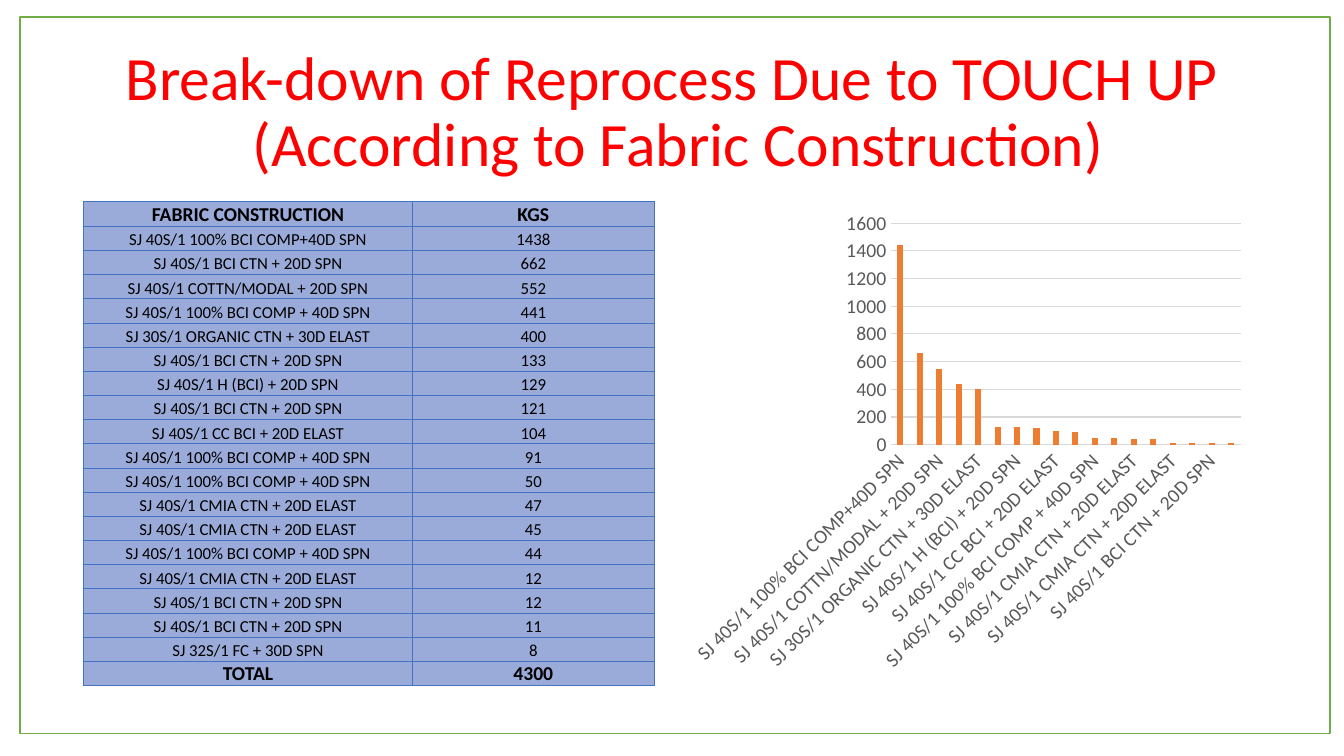
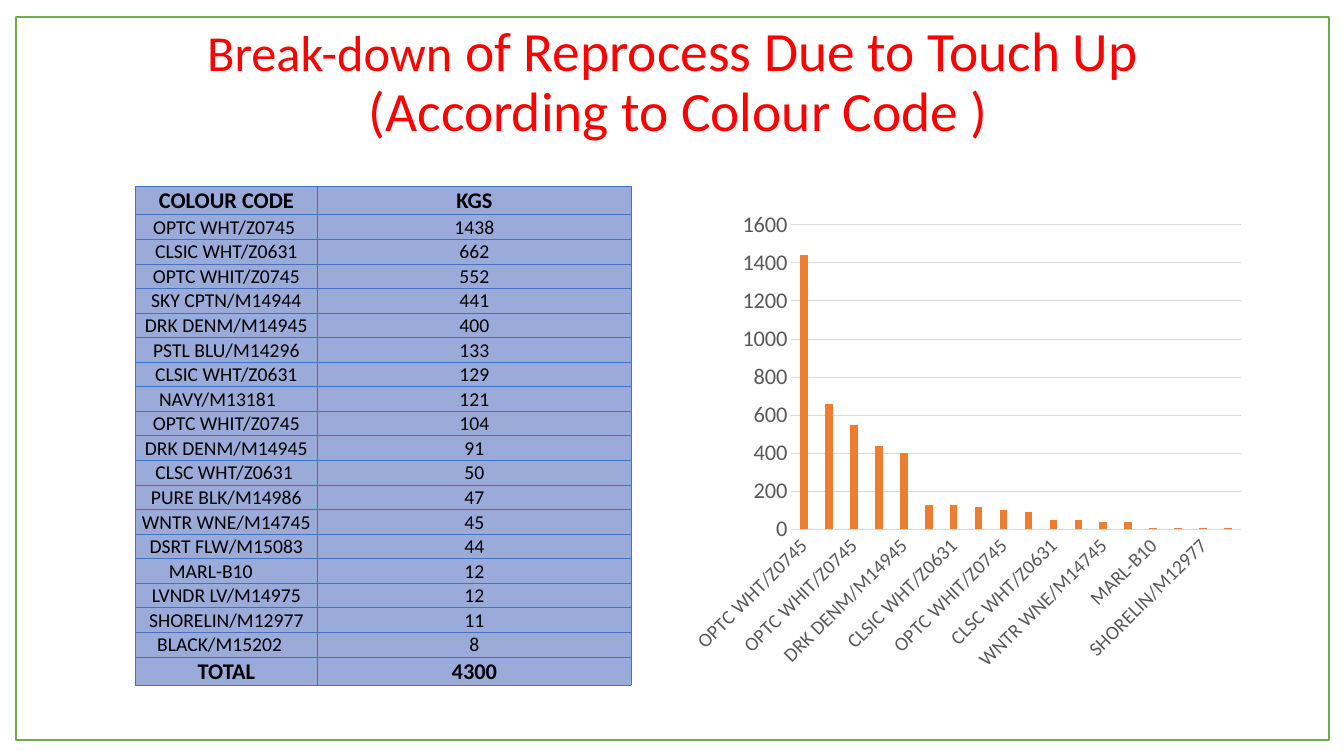
import lxml.etree
import pptx
import pptx.chart.data
import pptx.dml.color
import pptx.enum.chart
import pptx.enum.shapes
import pptx.enum.text
import pptx.oxml.ns
import pptx.util

Inches = pptx.util.Inches
Pt = pptx.util.Pt
FONT = "Calibri"
COLORS = {
    "title": "FF0000", "text": "000000", "cell": "9BABD9", "cell_border": "4472C4",
    "frame": "70AD47", "bar": "ED7D31", "axis_text": "595959", "grid": "D9D9D9",
}
CHART_BOX = (6.75, 2, 5.67, 4.76)
CODE_LENGTH = 15
KGS = (1438, 662, 552, 441, 400, 133, 129, 121, 104, 91, 50, 47, 45, 44, 12, 12, 11, 8)
FABRICS = (
    "SJ 40S/1 100% BCI COMP+40D SPN", "SJ 40S/1 BCI CTN + 20D SPN",
    "SJ 40S/1 COTTN/MODAL + 20D SPN", "SJ 40S/1 100% BCI COMP + 40D SPN",
    "SJ 30S/1 ORGANIC CTN + 30D ELAST", "SJ 40S/1 BCI CTN + 20D SPN",
    "SJ 40S/1 H (BCI) + 20D SPN", "SJ 40S/1 BCI CTN + 20D SPN",
    "SJ 40S/1 CC BCI + 20D ELAST", "SJ 40S/1 100% BCI COMP + 40D SPN",
    "SJ 40S/1 100% BCI COMP + 40D SPN", "SJ 40S/1 CMIA CTN + 20D ELAST",
    "SJ 40S/1 CMIA CTN + 20D ELAST", "SJ 40S/1 100% BCI COMP + 40D SPN",
    "SJ 40S/1 CMIA CTN + 20D ELAST", "SJ 40S/1 BCI CTN + 20D SPN",
    "SJ 40S/1 BCI CTN + 20D SPN", "SJ 32S/1 FC + 30D SPN",
)
COLOUR_CODES = (
    "OPTC WHT/Z0745", "CLSIC WHT/Z0631", "OPTC WHIT/Z0745", "SKY CPTN/M14944",
    "DRK DENM/M14945", "PSTL BLU/M14296", "CLSIC WHT/Z0631", "NAVY/M13181",
    "OPTC WHIT/Z0745", "DRK DENM/M14945", "CLSC WHT/Z0631", "PURE BLK/M14986",
    "WNTR WNE/M14745", "DSRT FLW/M15083", "MARL-B10", "LVNDR LV/M14975",
    "SHORELIN/M12977", "BLACK/M15202",
)


def rgb(name):
    """Return the named palette colour."""
    return pptx.dml.color.RGBColor.from_string(COLORS[name])


def style_font(font, size, color):
    """Set the typeface, size and colour of a font."""
    font.name, font.size = FONT, Pt(size)
    font.color.rgb = rgb(color)


def write_text(paragraph, text, *, size, color="text", bold=False, spacing=None):
    """Add a formatted run to a centred paragraph."""
    paragraph.alignment = pptx.enum.text.PP_ALIGN.CENTER
    if spacing:
        paragraph.line_spacing = spacing
    run = paragraph.add_run()
    run.text = text
    style_font(run.font, size, color)
    run.font.bold = bold


def add_title(slide, box, lines):
    """Place a title whose lines are lists of (text, size) runs."""
    frame = slide.shapes.add_textbox(*map(Inches, box)).text_frame
    frame.word_wrap = True
    frame.vertical_anchor = pptx.enum.text.MSO_ANCHOR.MIDDLE
    for index, runs in enumerate(lines):
        paragraph = frame.add_paragraph() if index else frame.paragraphs[0]
        if index:
            paragraph._p.get_or_add_pPr().set("marL", str(Inches(0.12)))
        for text, size in runs:
            write_text(paragraph, text, size=size, color="title", spacing=0.9)


def set_borders(cell):
    """Draw thin lines on the four sides of a cell."""
    qn = pptx.oxml.ns.qn
    properties = cell._tc.get_or_add_tcPr()
    for side in ("a:lnL", "a:lnR", "a:lnT", "a:lnB"):
        line = lxml.etree.SubElement(properties, qn(side), w=str(Pt(0.5)))
        fill = lxml.etree.SubElement(line, qn("a:solidFill"))
        lxml.etree.SubElement(fill, qn("a:srgbClr"), val=COLORS["cell_border"])


def add_breakdown_table(slide, origin, heading, labels, *, widths, edge_height,
                        row_height, size, edge_size, pad_length=0):
    """Place the table of labels and weights with its heading and total."""
    rows = [(heading, "KGS"), *zip(labels, map(str, KGS)), ("TOTAL", str(sum(KGS)))]
    last = len(rows) - 1
    height = 2 * edge_height + (last - 1) * row_height
    table = slide.shapes.add_table(
        len(rows), 2, *map(Inches, (*origin, sum(widths), height))).table
    table.first_row = table.horz_banding = False
    for column, width in zip(table.columns, widths):
        column.width = Inches(width)
    for row_index, row in enumerate(rows):
        is_edge = row_index in (0, last)
        table.rows[row_index].height = Inches(edge_height if is_edge else row_height)
        for column_index, text in enumerate(row):
            cell = table.cell(row_index, column_index)
            is_label = column_index == 0 and not is_edge
            missing = max(pad_length - len(text), 0) if is_label else 0
            cell.margin_left = cell.margin_top = Inches(0.01)
            cell.margin_right = Inches(0.01 + missing * size * 0.226 / 72)
            cell.margin_bottom = 0
            cell.vertical_anchor = pptx.enum.text.MSO_ANCHOR.BOTTOM
            set_borders(cell)
            cell.fill.solid()
            cell.fill.fore_color.rgb = rgb("cell")
            write_text(cell.text_frame.paragraphs[0], text,
                       size=edge_size if is_edge else size, bold=is_edge)


def add_weight_chart(slide, box, labels, value_size):
    """Place the column chart of weights rounded to tens."""
    data = pptx.chart.data.CategoryChartData(number_format="0")
    data.categories = labels
    data.add_series("Series 1", [round(weight, -1) for weight in KGS])
    chart = slide.shapes.add_chart(
        pptx.enum.chart.XL_CHART_TYPE.COLUMN_CLUSTERED, *map(Inches, box), data).chart
    chart.has_legend = chart.has_title = False
    style_font(chart.font, 10, "text")
    plot = chart.plots[0]
    plot.gap_width, plot.overlap = 219, -27
    plot.vary_by_categories = False
    bars = plot.series[0].format.fill
    bars.solid()
    bars.fore_color.rgb = rgb("bar")
    labels_axis, weight_axis = chart.category_axis, chart.value_axis
    for axis, size in ((labels_axis, 14), (weight_axis, value_size)):
        axis.major_tick_mark = axis.minor_tick_mark = pptx.enum.chart.XL_TICK_MARK.NONE
        style_font(axis.tick_labels.font, size, "axis_text")
    labels_axis._element.txPr.find(pptx.oxml.ns.qn("a:bodyPr")).set("rot", "-2700000")
    weight_axis.minimum_scale, weight_axis.maximum_scale = 0, 1600
    weight_axis.major_unit = 200
    weight_axis.format.line.fill.background()
    for line in (labels_axis.format.line, weight_axis.major_gridlines.format.line):
        line.color.rgb = rgb("grid")
        line.width = Pt(0.75)


def add_frame(slide, box):
    """Outline the slide with a thin rectangle."""
    frame = slide.shapes.add_shape(
        pptx.enum.shapes.MSO_SHAPE.RECTANGLE, *map(Inches, box))
    frame.shadow.inherit = False
    frame.fill.background()
    frame.line.color.rgb = rgb("frame")
    frame.line.width = Pt(1)


def add_breakdown_slide(deck, *, title, title_box, heading, labels, table_origin,
                        table_format, value_size, frame_box):
    """Build one slide with a title, a table, a chart and a frame."""
    slide = deck.slides.add_slide(deck.slide_layouts[6])
    add_title(slide, title_box, title)
    add_breakdown_table(slide, table_origin, heading, labels, **table_format)
    add_weight_chart(slide, CHART_BOX, labels, value_size)
    add_frame(slide, frame_box)


def main():
    """Build and save the presentation."""
    deck = pptx.Presentation()
    deck.slide_width, deck.slide_height = Inches(13.33), Inches(7.5)
    add_breakdown_slide(
        deck,
        title=[[("Break-down of Reprocess Due to TOUCH UP", 44)],
               [("(According to Fabric Construction)", 44)]],
        title_box=(0.92, 0.4, 11.5, 1.45),
        heading="FABRIC CONSTRUCTION", labels=FABRICS, table_origin=(0.83, 2),
        table_format=dict(widths=(3.26, 2.4), edge_height=0.24, row_height=0.24,
                          size=12, edge_size=14),
        value_size=14, frame_box=(0.2, 0.17, 12.99, 7.11))
    add_breakdown_slide(
        deck,
        title=[[("Break-down", 36), (" of Reprocess Due to Touch Up", 39.6)],
               [("(According to Colour Code )", 39.6)]],
        title_box=(0.92, 0.1, 11.5, 1.45),
        heading="COLOUR CODE", labels=COLOUR_CODES, table_origin=(1.34, 1.85),
        table_format=dict(widths=(1.81, 3.11), edge_height=0.28, row_height=0.24,
                          size=14, edge_size=16, pad_length=CODE_LENGTH),
        value_size=16, frame_box=(0.16, 0.17, 13.02, 7.17))
    deck.save("out.pptx")


if __name__ == "__main__":
    main()
